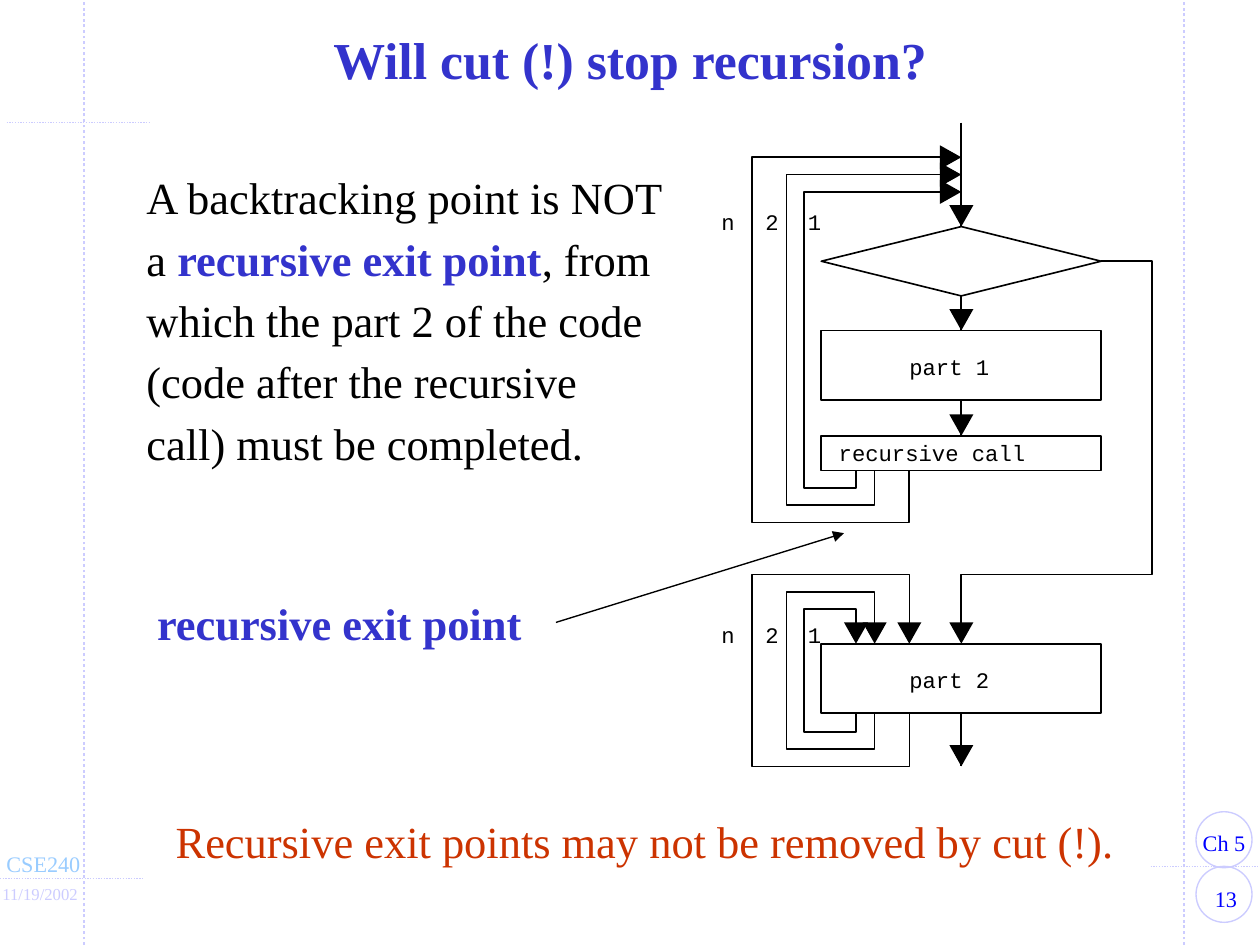
from dataclasses import dataclass
from typing import NamedTuple

from lxml import etree
from pptx import Presentation
from pptx import util as u
from pptx.dml.color import RGBColor
from pptx.enum import dml, shapes, text
from pptx.oxml import ns


@dataclass(frozen=True)
class Theme:
    serif: str = "Times New Roman"
    mono: str = "Courier New"
    black: str = "000000"
    white: str = "FFFFFF"
    accent: str = "3333CC"
    warning: str = "CC3300"
    frame: str = "CCCCFF"
    course: str = "99CCFF"
    page: str = "0000FF"
    title_size: float = 28
    body_size: float = 24
    label_size: float = 12
    date_size: float = 9
    thin: float = 0.75
    flow: float = 0.88
    thick: float = 1.5


class Run(NamedTuple):
    words: str
    color: str = Theme.black
    size: float = Theme.body_size
    font: str = Theme.serif
    bold: bool = False


class Label(NamedTuple):
    box: tuple[float, float, float, float]
    runs: list[Run]
    align: text.PP_ALIGN = text.PP_ALIGN.LEFT
    wrap: bool = False
    inset: float = 0.1
    spacing: float | None = None


class Rule(NamedTuple):
    start: tuple[float, float]
    end: tuple[float, float]
    width: float


class Loop(NamedTuple):
    name: str
    name_x: float
    left: float
    foot: float
    depth: float


T = Theme()
WIDTH, HEIGHT = 9.45, 7.09
CENTER = 7.21
ENTRY_Y, PART2_Y, LABEL_RISE = 1.57, 4.83, 0.17

prs = Presentation()
prs.slide_width, prs.slide_height = u.Inches(WIDTH), u.Inches(HEIGHT)
slide = prs.slides.add_slide(prs.slide_layouts[5])
canvas = slide.shapes


def style_run(r, run: Run) -> None:
    r.text = run.words
    r.font.name, r.font.size, r.font.bold = run.font, u.Pt(run.size), run.bold
    r.font.color.rgb = RGBColor.from_string(run.color)


def place(sp, box: tuple[float, float, float, float]) -> None:
    sp.left, sp.top, sp.width, sp.height = map(u.Inches, box)


def add_label(label: Label) -> None:
    tf = canvas.add_textbox(*map(u.Inches, label.box)).text_frame
    tf.word_wrap = label.wrap
    tf.margin_left = tf.margin_right = u.Inches(label.inset)
    tf.margin_top = tf.margin_bottom = u.Inches(label.inset / 2)
    p = tf.paragraphs[0]
    p.alignment = label.align
    if label.spacing:
        p.line_spacing, p.space_before = label.spacing, u.Pt(4.8)
    for run in label.runs:
        style_run(p.add_run(), run)


def style_shape(sp, fill: str | None, line: str | None, width: float = T.flow) -> None:
    sp.shadow.inherit = False
    for part, color in ((sp.fill, fill), (sp.line.fill, line)):
        if color:
            part.solid()
            part.fore_color.rgb = RGBColor.from_string(color)
        else:
            part.background()
    if line:
        sp.line.width = u.Pt(width)


def add_block(kind: shapes.MSO_SHAPE, top: float, height: float):
    sp = canvas.add_shape(kind, *map(u.Inches, (6.16, top, 2.1, height)))
    style_shape(sp, T.white, T.black)
    return sp


def add_line(start: tuple[float, float], end: tuple[float, float],
             width: float = T.flow, color: str = T.black):
    line = canvas.add_connector(shapes.MSO_CONNECTOR.STRAIGHT, *map(u.Inches, start + end))
    line.line.color.rgb = RGBColor.from_string(color)
    line.line.width = u.Pt(width)
    etree.SubElement(line.element.spPr, ns.qn("a:effectLst"))
    return line


def add_outline(points: list[tuple[float, float]], closed: bool = False) -> None:
    corners = [(u.Inches(x), u.Inches(y)) for x, y in points]
    builder = canvas.build_freeform(*corners[0])
    builder.add_line_segments(corners[1:], close=closed)
    style_shape(builder.convert_to_shape(), T.black if closed else None,
                None if closed else T.black)


def add_head(x: float, y: float, down: bool = True) -> None:
    back, half = 0.16, 0.09
    if down:
        add_outline([(x - half, y - back), (x, y), (x + half, y - back)], True)
    else:
        add_outline([(x - back, y - half), (x, y), (x - back, y + half)], True)


# Page frame
for rule in (Rule((0.63, HEIGHT), (0.63, 0), T.thick),
             Rule((8.88, HEIGHT), (8.88, 0), T.thick),
             Rule((0, 6.59), (1.08, 6.59), T.thin),
             Rule((8.63, 6.5), (WIDTH, 6.5), T.thin),
             Rule((0.05, 0.92), (1.13, 0.92), T.thin)):
    dotted = add_line(rule.start, rule.end, rule.width, T.frame)
    dotted.line.dash_style = dml.MSO_LINE.ROUND_DOT
for top in (6.5, 6.09):
    ring = canvas.add_shape(shapes.MSO_SHAPE.OVAL, *map(u.Inches, (8.97, top, 0.42, 0.42)))
    style_shape(ring, None, T.frame, T.thin)

# Title
title = canvas.title
place(title, (0.69, 0.13, 8.07, 0.7))
tf = title.text_frame
tf.auto_size, tf.vertical_anchor = text.MSO_AUTO_SIZE.NONE, text.MSO_ANCHOR.MIDDLE
p = tf.paragraphs[0]
p.alignment, p.line_spacing = text.PP_ALIGN.CENTER, 0.85
style_run(p.add_run(), Run("Will cut (!) stop recursion?", T.accent, T.title_size, bold=True))

# Loops around part 1 and part 2
LOOPS = [Loop("1", 6.06, 6.03, 6.42, 0.13),
         Loop("2", 5.74, 5.9, 6.56, 0.26),
         Loop("n", 5.41, 5.64, 6.82, 0.39)]
for loop in LOOPS:
    entry, call_end = ENTRY_Y - loop.depth, 3.53
    add_outline([(loop.foot, call_end), (loop.foot, call_end + loop.depth),
                 (loop.left, call_end + loop.depth), (loop.left, entry), (7.08, entry)])
    add_head(CENTER, entry, down=False)
    low, high = 5.36 + loop.depth, 4.7 - loop.depth
    add_outline([(loop.foot, 5.23), (loop.foot, low), (loop.left, low),
                 (loop.left, high), (loop.foot, high), (loop.foot, 4.71)])
    add_head(loop.foot, PART2_Y)
    for y in (1.56, PART2_Y - LABEL_RISE):
        add_label(Label((loop.name_x, y, 0.1, 0.2),
                        [Run(loop.name, size=T.label_size, font=T.mono)], inset=0))

# Flow blocks and the straight arrows between them
test = add_block(shapes.MSO_SHAPE.DIAMOND, 1.7, 0.52)
part1 = add_block(shapes.MSO_SHAPE.RECTANGLE, 2.48, 0.52)
call = add_block(shapes.MSO_SHAPE.RECTANGLE, 3.27, 0.26)
part2 = add_block(shapes.MSO_SHAPE.RECTANGLE, PART2_Y, 0.52)
for source, target, start, end in ((None, test, 0.92, 1.7), (test, part1, 2.22, 2.48),
                                   (part1, call, 3.0, 3.27), (part2, None, 5.35, 5.75)):
    stem = add_line((CENTER, start), (CENTER, end))
    if source:
        stem.begin_connect(source, 2)
    if target:
        stem.end_connect(target, 0)
    add_head(CENTER, end)
add_outline([(8.26, 1.96), (8.64, 1.96), (8.64, 4.31), (CENTER, 4.31), (CENTER, 4.71)])
add_head(CENTER, PART2_Y)

# Block names, page marks and body text
small, center = T.label_size, text.PP_ALIGN.CENTER
for label in (
    Label((6.82, 2.65, 0.6, 0.2), [Run("part 1", size=small, font=T.mono)], inset=0),
    Label((6.29, 3.3, 1.41, 0.2), [Run("recursive call", size=small, font=T.mono)], inset=0),
    Label((6.82, 5, 0.6, 0.2), [Run("part 2", size=small, font=T.mono)], inset=0),
    Label((8.92, 6.59, 0.55, 0.3), [Run("13", T.page, small)], center, True),
    Label((8.92, 6.17, 0.52, 0.3), [Run("Ch 5", T.page, small)], center),
    Label((-0.05, 6.33, 0.76, 0.3), [Run("CSE240", T.course, small)]),
    Label((-0.08, 6.58, 0.77, 0.25), [Run("11/19/2002", T.frame, T.date_size)]),
    Label((1, 1.17, 4.08, 2.86),
          [Run("A backtracking point is NOT a "),
           Run("recursive exit point", T.accent, bold=True),
           Run(", from which the part 2 of the code (code after the recursive call) "
               "must be completed.")], wrap=True, spacing=1.15),
    Label((0.92, 6, 7.83, 0.56),
          [Run("Recursive exit points may not be removed by cut (!).", T.warning)],
          center, True, spacing=1.15),
    Label((1.08, 4.42, 2.94, 0.5), [Run("recursive exit point", T.accent, bold=True)]),
):
    add_label(label)

# Pointer to the exit point
pointer = add_line((4.17, 4.67), (6.33, 4), T.thin)
etree.SubElement(pointer.element.spPr.find(ns.qn("a:ln")), ns.qn("a:tailEnd"), type="triangle")

prs.save("out.pptx")
